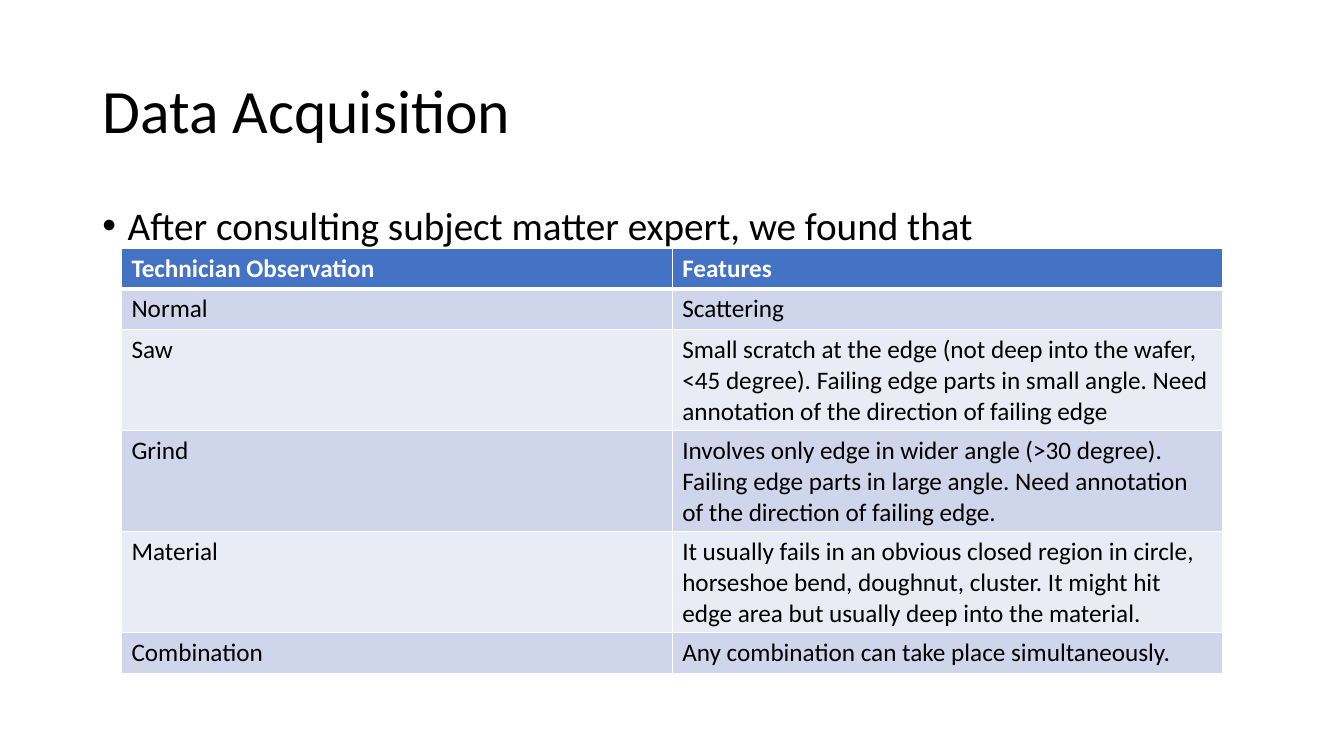
"""Build the Data Acquisition slide with its table of observations and features."""
from dataclasses import dataclass
from typing import Any

import pptx
import pptx.dml.color
import pptx.enum.text
import pptx.oxml
import pptx.oxml.ns
import pptx.util
from pptx.util import Cm


@dataclass(frozen=True)
class Theme:
    font: str = "Calibri"
    title_size: int = 44
    body_size: int = 28
    cell_size: int = 18
    ink: str = "000000"
    paper: str = "FFFFFF"
    header: str = "4472C4"
    bands: tuple[str, str] = ("CFD5EA", "E9EBF5")
    thin: int = 1
    thick: int = 3


@dataclass(frozen=True)
class Observation:
    cause: str
    features: str


THEME = Theme()
HEADING = Observation("Technician Observation", "Features")
OBSERVATIONS = (
    Observation("Normal", "Scattering"),
    Observation(
        "Saw",
        "Small scratch at the edge (not deep into the wafer, <45 degree). Failing edge parts "
        "in small angle. Need annotation of the direction of failing edge",
    ),
    Observation(
        "Grind",
        "Involves only edge in wider angle (>30 degree). Failing edge parts in large angle. "
        "Need annotation of the direction of failing edge.",
    ),
    Observation(
        "Material",
        "It usually fails in an obvious closed region in circle, horseshoe bend, doughnut, "
        "cluster. It might hit edge area but usually deep into the material.",
    ),
    Observation("Combination", "Any combination can take place simultaneously."),
)
MARGIN, CONTENT_WIDTH = Cm(2.33), Cm(29.21)
COLUMN_WIDTH, ROW_HEIGHT = Cm(13.88), Cm(1.03)


def write(frame: Any, text: str, size: int, color: str, bold: bool = False) -> Any:
    """Put one left-aligned paragraph in a text frame and return it."""
    frame.word_wrap = True
    para = frame.paragraphs[0]
    para.text = text
    para.alignment = pptx.enum.text.PP_ALIGN.LEFT
    para.font.name = THEME.font
    para.font.size = pptx.util.Pt(size)
    para.font.bold = bold
    para.font.color.rgb = pptx.dml.color.RGBColor.from_string(color)
    return para


def add_title(slide: Any, text: str) -> None:
    """Move and format the title placeholder."""
    title = slide.shapes.title
    title.left, title.top, title.width, title.height = MARGIN, Cm(1.01), CONTENT_WIDTH, Cm(3.68)
    title.text_frame.vertical_anchor = pptx.enum.text.MSO_ANCHOR.MIDDLE
    write(title.text_frame, text, THEME.title_size, THEME.ink).line_spacing = 0.9


def add_bullet(slide: Any, text: str) -> None:
    """Add the introductory bullet."""
    box = slide.shapes.add_textbox(MARGIN, Cm(5.08), CONTENT_WIDTH, Cm(12.09))
    para = write(box.text_frame, text, THEME.body_size, THEME.ink)
    para.line_spacing = 0.9
    para.space_before = pptx.util.Pt(10)
    properties = para._p.get_or_add_pPr()
    indent = Cm(0.64)
    properties.set("marL", str(indent))
    properties.set("indent", str(-indent))
    namespace = pptx.oxml.ns.nsdecls("a")
    for markup in (f'<a:buFont {namespace} typeface="Arial"/>', f'<a:buChar {namespace} char="•"/>'):
        properties.insert_element_before(pptx.oxml.parse_xml(markup), "a:tabLst", "a:defRPr", "a:extLst")


def add_borders(cell: Any, top: int, bottom: int) -> None:
    """Draw the four sides of a cell, with widths in points."""
    properties = cell._tc.get_or_add_tcPr()
    sides = {"lnL": THEME.thin, "lnR": THEME.thin, "lnT": top, "lnB": bottom}
    for side, width in sides.items():
        properties.append(pptx.oxml.parse_xml(
            f'<a:{side} {pptx.oxml.ns.nsdecls("a")} w="{pptx.util.Pt(width)}"><a:solidFill>'
            f'<a:srgbClr val="{THEME.paper}"/></a:solidFill></a:{side}>'
        ))


def add_observations(slide: Any) -> None:
    """Add the table with a header row and banded observations."""
    records = (HEADING, *OBSERVATIONS)
    table = slide.shapes.add_table(
        len(records), 2, Cm(3.06), Cm(6.25), 2 * COLUMN_WIDTH, len(records) * ROW_HEIGHT
    ).table
    for column in table.columns:
        column.width = COLUMN_WIDTH
    for index, record in enumerate(records):
        is_header = index == 0
        fill = THEME.header if is_header else THEME.bands[(index - 1) % 2]
        color = THEME.paper if is_header else THEME.ink
        top = THEME.thick if index == 1 else THEME.thin
        bottom = THEME.thick if is_header else THEME.thin
        for cell, text in zip(table.rows[index].cells, (record.cause, record.features)):
            write(cell.text_frame, text, THEME.cell_size, color, is_header)
            add_borders(cell, top, bottom)
            cell.fill.solid()
            cell.fill.fore_color.rgb = pptx.dml.color.RGBColor.from_string(fill)


def main() -> None:
    """Build and save the deck."""
    deck = pptx.Presentation()
    deck.slide_width, deck.slide_height = Cm(33.87), Cm(19.05)
    slide = deck.slides.add_slide(deck.slide_layouts.get_by_name("Title Only"))
    add_title(slide, "Data Acquisition")
    add_bullet(slide, "After consulting subject matter expert, we found that")
    add_observations(slide)
    deck.save("out.pptx")


if __name__ == "__main__":
    main()
